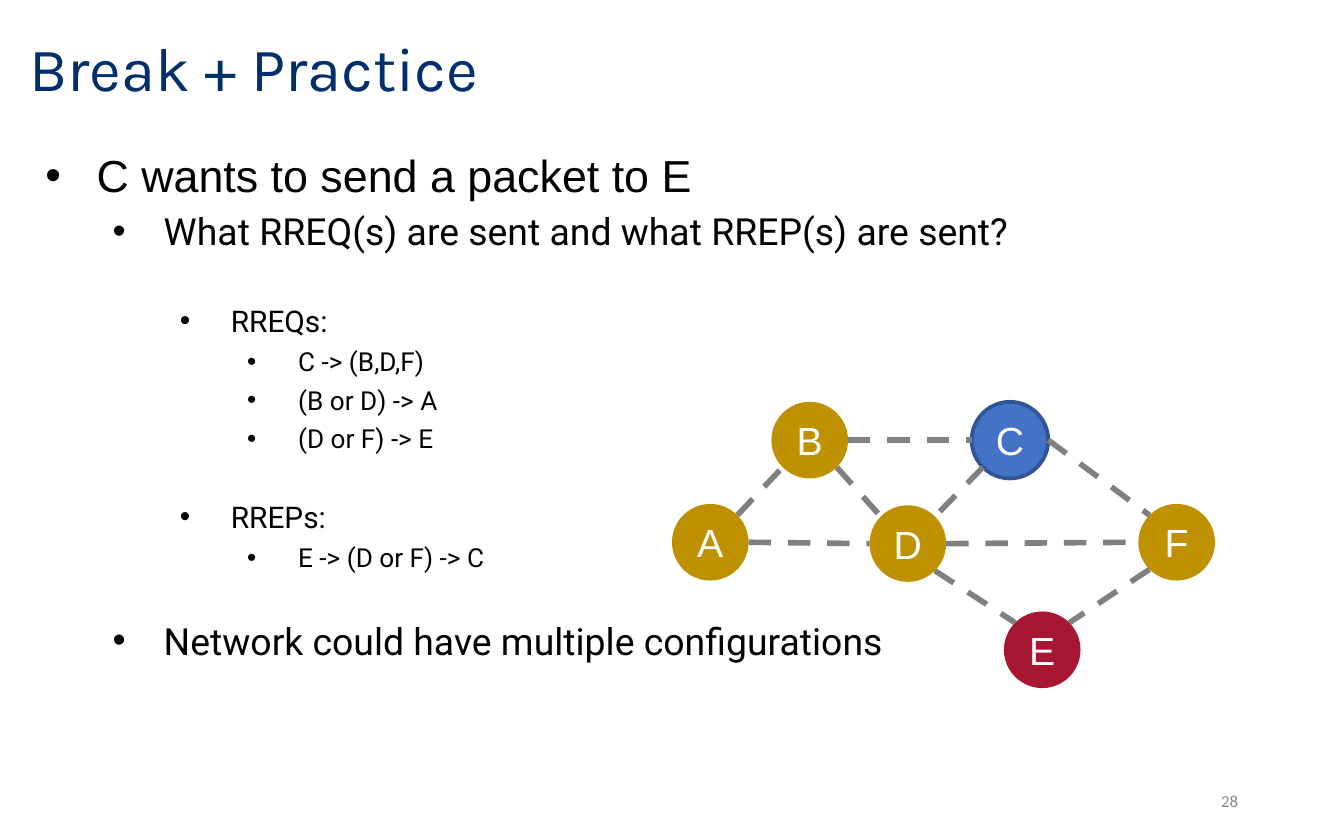
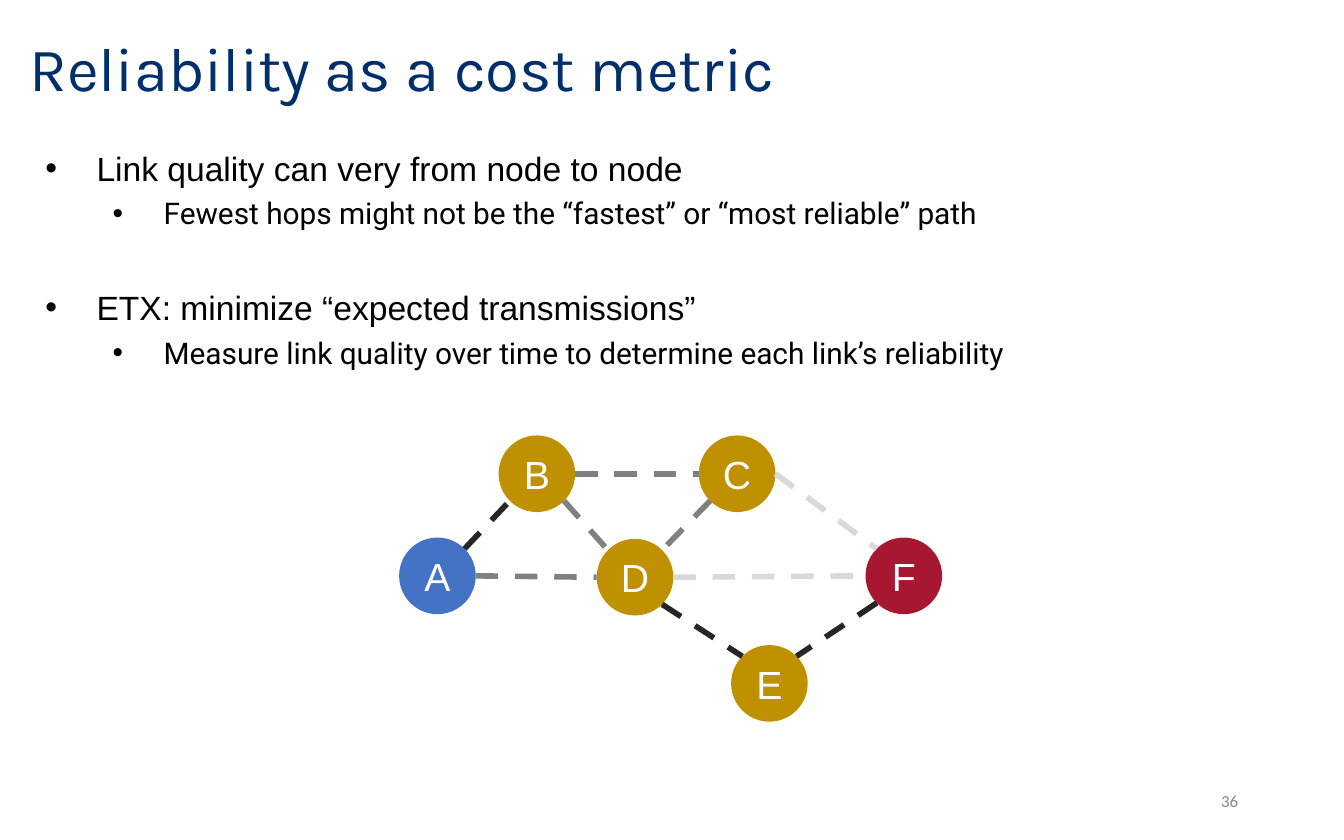
"""Build two slides on routing in a wireless mesh network."""
from dataclasses import dataclass, field
from math import sqrt

from lxml.etree import SubElement
from pptx import Presentation
from pptx.dml.color import RGBColor
from pptx.enum.dml import MSO_LINE
from pptx.enum.shapes import MSO_CONNECTOR, MSO_SHAPE
from pptx.enum.text import MSO_ANCHOR, PP_ALIGN
from pptx.oxml.ns import qn
from pptx.slide import Slide
from pptx.text.text import TextFrame, _Paragraph
from pptx.util import Inches, Pt

COLORS = {
    "title": "002F6C",
    "text": "000000",
    "number": "888888",
    "label": "FFFFFF",
    "node": "BF9000",
    "source": "4472C4",
    "source_edge": "2F5597",
    "target": "A71732",
    "strong": "262626",
    "medium": "808080",
    "weak": "D9D9D9",
}
NODE_SIZE = 0.57
NODE_POSITIONS = {
    "A": (0, 0.76),
    "B": (0.74, 0),
    "C": (2.23, 0),
    "D": (1.47, 0.77),
    "E": (2.47, 1.56),
    "F": (3.47, 0.76),
}
DIAGONAL = 1 / sqrt(2)
SITES = {
    "east": (1, 0),
    "west": (-1, 0),
    "northeast": (DIAGONAL, -DIAGONAL),
    "northwest": (-DIAGONAL, -DIAGONAL),
    "southeast": (DIAGONAL, DIAGONAL),
    "southwest": (-DIAGONAL, DIAGONAL),
}
INDENT = 0.5
HANGING = 0.38


@dataclass(frozen=True)
class Link:
    start: str
    start_site: str
    end: str
    end_site: str


LINKS = [
    Link("A", "northeast", "B", "southwest"),
    Link("B", "east", "C", "west"),
    Link("B", "southeast", "D", "northwest"),
    Link("C", "southwest", "D", "northeast"),
    Link("C", "east", "F", "northwest"),
    Link("D", "east", "F", "west"),
    Link("D", "southeast", "E", "northwest"),
    Link("F", "southwest", "E", "northeast"),
    Link("A", "east", "D", "west"),
]


@dataclass(frozen=True)
class Bullet:
    text: str
    level: int
    size: int
    gap: float = 0


@dataclass(frozen=True)
class Network:
    left: float
    top: float
    source: str
    target: str
    outlined: bool = False
    qualities: dict[str, str] = field(default_factory=dict)


@dataclass(frozen=True)
class Page:
    title: str
    number: int
    bullets: list[Bullet]
    network: Network


PAGES = [
    Page(
        "Break + Practice",
        28,
        [
            Bullet("C wants to send a packet to E", 0, 24),
            Bullet("What RREQ(s) are sent and what RREP(s) are sent?", 1, 20),
            Bullet("RREQs:", 2, 16, 22.5),
            Bullet("C -> (B,D,F)", 3, 14),
            Bullet("(B or D) -> A", 3, 14),
            Bullet("(D or F) -> E", 3, 14),
            Bullet("RREPs:", 2, 16, 20.2),
            Bullet("E -> (D or F) -> C", 3, 14),
            Bullet("Network could have multiple configurations", 1, 20, 20.2),
        ],
        Network(5, 2.99, "C", "E", outlined=True),
    ),
    Page(
        "Reliability as a cost metric",
        36,
        [
            Bullet("Link quality can very from node to node", 0, 18),
            Bullet("Fewest hops might not be the “fastest” or “most reliable” path", 1, 16),
            Bullet("ETX: minimize “expected transmissions”", 0, 18, 22.5),
            Bullet("Measure link quality over time to determine each link’s reliability", 1, 16),
        ],
        Network(
            2.97, 3.24, "A", "F",
            qualities={"AB": "strong", "DE": "strong", "FE": "strong", "CF": "weak", "DF": "weak"},
        ),
    ),
]


def color(name: str) -> RGBColor:
    return RGBColor.from_string(COLORS[name])


def format_runs(paragraph: _Paragraph, font_name: str, size: int, color_name: str) -> None:
    for run in paragraph.runs:
        run.font.name = font_name
        run.font.size = Pt(size)
        run.font.color.rgb = color(color_name)


def add_text_frame(
    slide: Slide, left: float, top: float, width: float, height: float, anchor: MSO_ANCHOR
) -> TextFrame:
    shape = slide.shapes.add_textbox(Inches(left), Inches(top), Inches(width), Inches(height))
    text_frame = shape.text_frame
    text_frame.word_wrap = True
    text_frame.vertical_anchor = anchor
    return text_frame


def add_title(slide: Slide, title: str) -> None:
    text_frame = add_text_frame(slide, 0.12, 0.1, 8.52, 0.86, MSO_ANCHOR.MIDDLE)
    text_frame.text = title
    paragraph = text_frame.paragraphs[0]
    paragraph.line_spacing = 0.9
    format_runs(paragraph, "Karla", 33, "title")


def add_slide_number(slide: Slide, number: int) -> None:
    text_frame = add_text_frame(slide, 7.06, 5.79, 2.25, 0.33, MSO_ANCHOR.MIDDLE)
    text_frame.text = str(number)
    paragraph = text_frame.paragraphs[0]
    paragraph.alignment = PP_ALIGN.RIGHT
    format_runs(paragraph, "Calibri", 9, "number")


def set_bullet(paragraph: _Paragraph, level: int) -> None:
    paragraph.level = level
    properties = paragraph._p.get_or_add_pPr()
    properties.set("marL", str(Inches(INDENT * (level + 1))))
    properties.set("indent", str(-Inches(HANGING)))
    bullet_color = SubElement(properties, qn("a:buClr"))
    SubElement(bullet_color, qn("a:srgbClr"), val=COLORS["text"])
    SubElement(properties, qn("a:buFont"), typeface="Arial")
    SubElement(properties, qn("a:buChar"), char="•")


def add_bullets(slide: Slide, bullets: list[Bullet]) -> None:
    text_frame = add_text_frame(slide, 0.12, 1.05, 9.77, 4.58, MSO_ANCHOR.TOP)
    for index, bullet in enumerate(bullets):
        paragraph = text_frame.add_paragraph() if index else text_frame.paragraphs[0]
        paragraph.text = bullet.text
        paragraph.space_before = Pt((3.8 if bullet.level else 7.5) + bullet.gap)
        set_bullet(paragraph, bullet.level)
        format_runs(paragraph, "Roboto" if bullet.level else "Arial", bullet.size, "text")


def add_node(slide: Slide, network: Network, name: str) -> None:
    left, top = NODE_POSITIONS[name]
    shape = slide.shapes.add_shape(
        MSO_SHAPE.OVAL,
        Inches(network.left + left),
        Inches(network.top + top),
        Inches(NODE_SIZE),
        Inches(NODE_SIZE),
    )
    shape.shadow.inherit = False
    roles = {network.source: "source", network.target: "target"}
    shape.fill.solid()
    shape.fill.fore_color.rgb = color(roles.get(name, "node"))
    if network.outlined and name == network.source:
        shape.line.color.rgb = color("source_edge")
        shape.line.width = Pt(2)
    else:
        shape.line.fill.background()
    text_frame = shape.text_frame
    text_frame.word_wrap = False
    text_frame.vertical_anchor = MSO_ANCHOR.MIDDLE
    text_frame.text = name
    paragraph = text_frame.paragraphs[0]
    paragraph.alignment = PP_ALIGN.CENTER
    format_runs(paragraph, "Arial", 21, "label")


def site_point(network: Network, name: str, site: str) -> tuple[Inches, Inches]:
    left, top = NODE_POSITIONS[name]
    across, down = SITES[site]
    radius = NODE_SIZE / 2
    return (
        Inches(network.left + left + radius * (1 + across)),
        Inches(network.top + top + radius * (1 + down)),
    )


def add_link(slide: Slide, network: Network, link: Link) -> None:
    start = site_point(network, link.start, link.start_site)
    end = site_point(network, link.end, link.end_site)
    connector = slide.shapes.add_connector(MSO_CONNECTOR.STRAIGHT, *start, *end)
    quality = network.qualities.get(link.start + link.end, "medium")
    connector.line.color.rgb = color(quality)
    connector.line.width = Pt(3)
    connector.line.dash_style = MSO_LINE.DASH
    SubElement(connector._element.spPr, qn("a:effectLst"))


def add_network(slide: Slide, network: Network) -> None:
    for name in NODE_POSITIONS:
        add_node(slide, network, name)
    for link in LINKS:
        add_link(slide, network, link)


def main() -> None:
    presentation = Presentation()
    presentation.slide_width = Inches(10)
    presentation.slide_height = Inches(6.25)
    for page in PAGES:
        slide = presentation.slides.add_slide(presentation.slide_layouts[6])
        add_title(slide, page.title)
        add_bullets(slide, page.bullets)
        add_slide_number(slide, page.number)
        add_network(slide, page.network)
    presentation.save("out.pptx")


if __name__ == "__main__":
    main()
